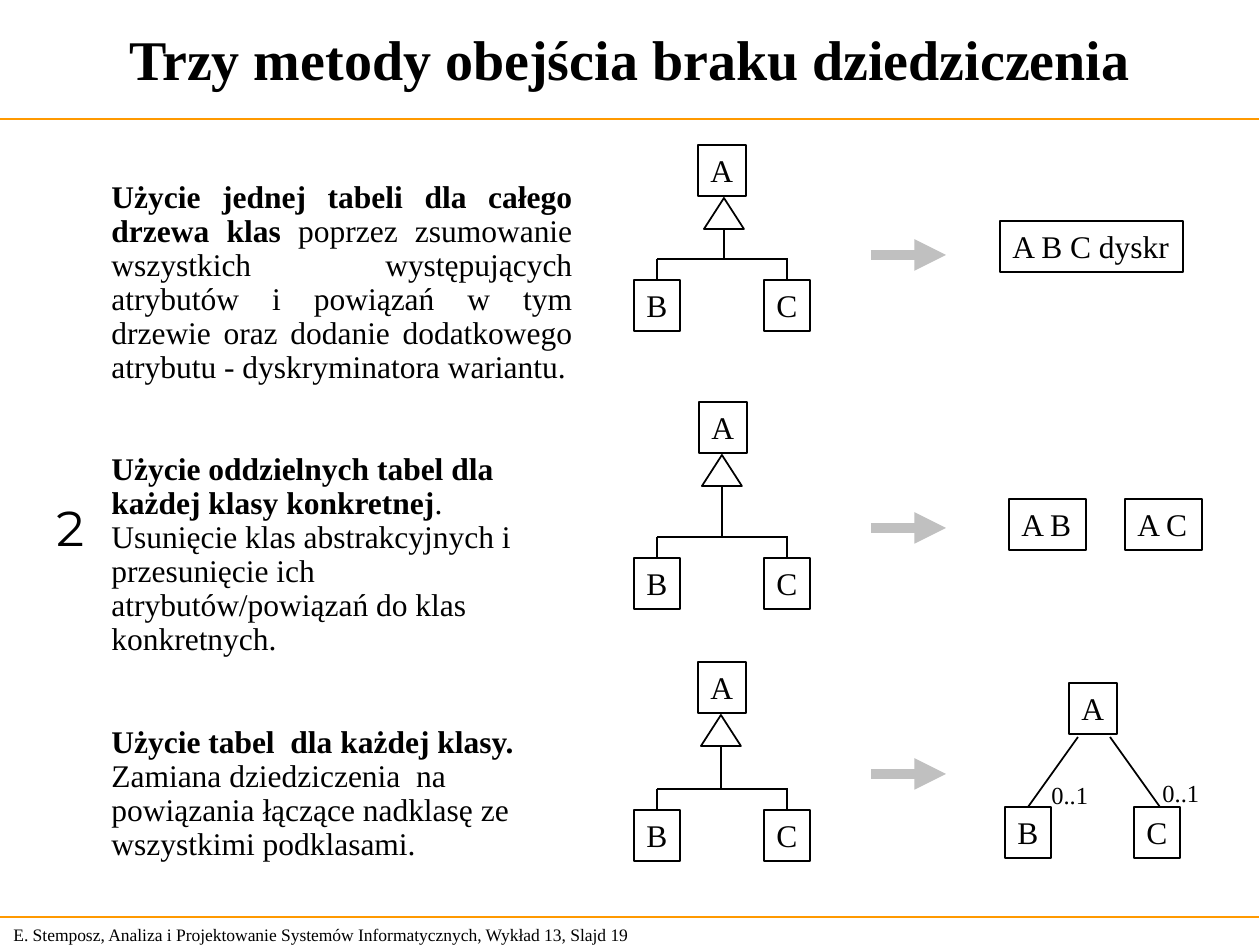
from lxml import etree
from pptx import Presentation, util as u
from pptx.dml.color import RGBColor
from pptx.enum import shapes, text
from pptx.oxml.ns import qn

PX = 914400 / 126
BLACK, WHITE, ORANGE, GREY = "000000", "FFFFFF", "FF9900", "C0C0C0"

presentation = Presentation()
presentation.slide_width = u.Inches(10)
presentation.slide_height = u.Inches(7.5)
slide = presentation.slides.add_slide(presentation.slide_layouts[6])


def add_item(left, top, width, height, words="", size=18, kind=None, fill=None):
    """Add a text box, or an outlined shape when kind is given."""
    place = [u.Emu(round(n * PX)) for n in (left, top, width, height)]
    if kind is None:
        shape = slide.shapes.add_textbox(*place)
    else:
        shape = slide.shapes.add_shape(kind, *place)
        shape.shadow.inherit = False
        shape.line.color.rgb = RGBColor.from_string(BLACK)
        shape.line.width = u.Pt(1)
        if fill:
            shape.fill.solid()
            shape.fill.fore_color.rgb = RGBColor.from_string(fill)
        else:
            shape.fill.background()
    frame = shape.text_frame
    frame.word_wrap = False
    frame.vertical_anchor = text.MSO_ANCHOR.TOP
    if words:
        frame.auto_size = text.MSO_AUTO_SIZE.SHAPE_TO_FIT_TEXT
        frame.text = words
        paragraph = frame.paragraphs[0]
        paragraph.alignment = text.PP_ALIGN.LEFT
        font = paragraph.runs[0].font
        font.name = "Times New Roman"
        font.size = u.Pt(size)
        font.color.rgb = RGBColor.from_string(BLACK)
    return shape


def add_line(x1, y1, x2, y2, color=BLACK, width=1, arrow=False):
    ends = [u.Emu(round(n * PX)) for n in (x1, y1, x2, y2)]
    line = slide.shapes.add_connector(shapes.MSO_CONNECTOR.STRAIGHT, *ends)
    line.line.color.rgb = RGBColor.from_string(color)
    line.line.width = u.Pt(width)
    if arrow:
        etree.SubElement(line.line._get_or_add_ln(), qn("a:tailEnd"), type="triangle")
    etree.SubElement(line._element.spPr, qn("a:effectLst"))


RECTANGLE = shapes.MSO_SHAPE.RECTANGLE
TRIANGLE = shapes.MSO_SHAPE.ISOSCELES_TRIANGLE

# Title, rules and footer
title = add_item(0, 0, 1260, 116, "Trzy metody obejścia braku dziedziczenia", 32)
title.text_frame.auto_size = text.MSO_AUTO_SIZE.NONE
title.text_frame.word_wrap = True
title.text_frame.vertical_anchor = text.MSO_ANCHOR.MIDDLE
title.text_frame.paragraphs[0].alignment = text.PP_ALIGN.CENTER
title.text_frame.paragraphs[0].runs[0].font.bold = True
for y in (119, 917):
    add_line(-1, y, 1259, y, ORANGE, 0.75)
footer = add_item(1, 917, 660, 34, "E. Stemposz, Analiza i Projektowanie Systemów "
                  "Informatycznych, Wykład 13, Slajd 19", 10)
footer.text_frame.word_wrap = True
footer.text_frame.vertical_anchor = text.MSO_ANCHOR.MIDDLE

# Description of the three methods
methods = [
    ("Użycie jednej tabeli dla całego drzewa klas",
     " poprzez zsumowanie wszystkich występujących atrybutów i powiązań w tym "
     "drzewie oraz dodanie dodatkowego atrybutu - dyskryminatora wariantu."),
    ("Użycie oddzielnych tabel dla każdej klasy konkretnej",
     ". Usunięcie klas abstrakcyjnych i przesunięcie ich atrybutów/powiązań "
     "do klas konkretnych."),
    ("Użycie tabel  dla każdej klasy.",
     " Zamiana dziedziczenia  na powiązania łączące nadklasę ze wszystkimi podklasami."),
]
description = add_item(99, 175, 486, 693)
frame = description.text_frame
frame.word_wrap = True
for index, (heading, detail) in enumerate(methods):
    paragraph = frame.add_paragraph() if index else frame.paragraphs[0]
    paragraph.line_spacing = 0.9
    paragraph.alignment = text.PP_ALIGN.LEFT if index else text.PP_ALIGN.JUSTIFY
    if index:
        paragraph.space_before = u.Pt(39)
    for words, bold in ((heading, True), (detail, False)):
        run = paragraph.add_run()
        run.text = words
        run.font.name = "Times New Roman"
        run.font.size = u.Pt(18)
        run.font.bold = bold
        run.font.color.rgb = RGBColor.from_string(BLACK)

# Inheritance trees: parent left and top, stem x, bus y, arrow y
for parent_x, parent_y, stem_x, bus_y, arrow_y in (
    (698, 145, 724, 259, 255),
    (699, 402, 722, 537, 528),
    (698, 662, 721, 789, 774),
):
    add_item(parent_x, parent_y, 48, 51, "A", kind=RECTANGLE, fill=WHITE)
    add_item(stem_x - 20, parent_y + 53, 40, 31, kind=TRIANGLE, fill=WHITE)
    add_line(stem_x, parent_y + 84, stem_x, bus_y)
    add_line(657, bus_y, 788, bus_y)
    for name, x in (("B", 634), ("C", 764)):
        add_line(x + 23, bus_y, x + 23, bus_y + 21)
        add_item(x, bus_y + 21, 46, 51, name, kind=RECTANGLE, fill=WHITE)
    add_line(871, arrow_y, 946, arrow_y, GREY, 6, arrow=True)

# Resulting tables
for name, left, top, width in (
    ("A B C dyskr", 1000, 221, 183),
    ("A B", 1009, 499, 77),
    ("A C", 1125, 499, 77),
    ("A", 1069, 683, 48),
    ("B", 1005, 807, 46),
    ("C", 1134, 807, 46),
):
    add_item(left, top, width, 51, name, kind=RECTANGLE)
add_line(1078, 737, 1028, 807)
add_line(1110, 737, 1160, 807)
for left, top in ((1150, 772), (1039, 774)):
    add_item(left, top, 62, 43, "0..1", 14)

number = add_item(44, 491, 33, 71, "2", 28)
number.text_frame.auto_size = text.MSO_AUTO_SIZE.NONE
number.text_frame.paragraphs[0].runs[0].font.name = "Montserrat"

presentation.save("out.pptx")
